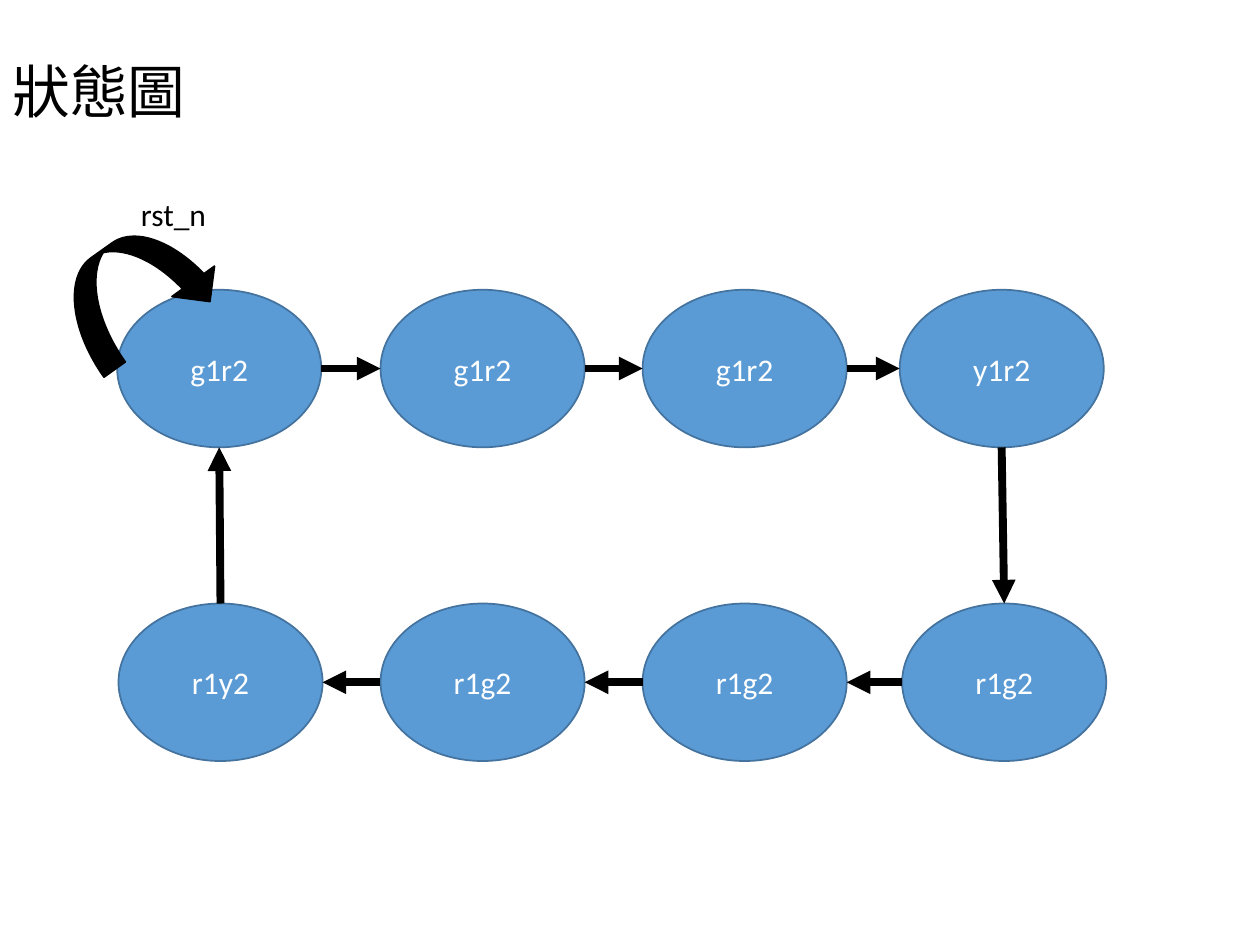
from lxml import etree
from pptx import Presentation
from pptx.dml.color import RGBColor
from pptx.enum.shapes import MSO_CONNECTOR, MSO_SHAPE
from pptx.enum.text import MSO_ANCHOR, PP_ALIGN
from pptx.oxml.ns import qn
from pptx.util import Inches, Pt

BLACK = RGBColor(0x00, 0x00, 0x00)
WHITE = RGBColor(0xFF, 0xFF, 0xFF)
BLUE = RGBColor(0x5B, 0x9B, 0xD5)
EDGE = RGBColor(0x43, 0x73, 0x9E)
WIDTH, HEIGHT = 1.62, 1.25
TOP, BOTTOM = 2.3, 4.79


def write(shape, text, size, color, align=PP_ALIGN.LEFT, anchor=MSO_ANCHOR.TOP):
    frame = shape.text_frame
    frame.word_wrap = True
    frame.vertical_anchor = anchor
    para = frame.paragraphs[0]
    para.alignment = align
    run = para.add_run()
    run.text = text
    for name, value in {"name": "Calibri", "size": Pt(size)}.items():
        setattr(run.font, name, value)
    run.font.color.rgb = color
    return para


def paint(shape, fill, line):
    shape.shadow.inherit = False
    shape.fill.solid()
    shape.fill.fore_color.rgb = fill
    shape.line.color.rgb = line
    shape.line.width = Pt(1)


deck = Presentation()
deck.slide_width, deck.slide_height = Inches(10), Inches(7.5)
slide = deck.slides.add_slide(deck.slide_layouts[6])
shapes = slide.shapes

title = shapes.add_textbox(Inches(0), Inches(0.03), Inches(8.62), Inches(1.45))
write(title, "狀態圖", 33, BLACK, anchor=MSO_ANCHOR.MIDDLE).line_spacing = 0.9

# States in the order they are visited, clockwise from the top left
states = [
    ("g1r2", 0.93, TOP), ("g1r2", 3.02, TOP), ("g1r2", 5.1, TOP), ("y1r2", 7.14, TOP),
    ("r1g2", 7.16, BOTTOM), ("r1g2", 5.1, BOTTOM), ("r1g2", 3.02, BOTTOM), ("r1y2", 0.94, BOTTOM),
]
for text, left, top in states:
    state = shapes.add_shape(
        MSO_SHAPE.OVAL, Inches(left), Inches(top), Inches(WIDTH), Inches(HEIGHT))
    paint(state, BLUE, EDGE)
    write(state, text, 18, WHITE, PP_ALIGN.CENTER, MSO_ANCHOR.MIDDLE)

# Each arrow joins the facing edges of one state and the next
for (_, x1, y1), (_, x2, y2) in zip(states, states[1:] + states[:1]):
    if y1 == y2:
        y1 = y2 = y1 + HEIGHT / 2
        if x1 < x2:
            x1 += WIDTH
        else:
            x2 += WIDTH
    else:
        x1, x2 = x1 + WIDTH / 2, x2 + WIDTH / 2
        if y1 < y2:
            y1 += HEIGHT
        else:
            y2 += HEIGHT
    arrow = shapes.add_connector(
        MSO_CONNECTOR.STRAIGHT, Inches(x1), Inches(y1), Inches(x2), Inches(y2))
    arrow.line.color.rgb = BLACK
    arrow.line.width = Pt(4.5)
    etree.SubElement(arrow.line._get_or_add_ln(), qn("a:tailEnd"), type="triangle")
    etree.SubElement(arrow._element.spPr, qn("a:effectLst"))

label = shapes.add_textbox(Inches(1.02), Inches(1.5), Inches(1.13), Inches(0.4))
write(label, "rst_n", 18, BLACK)

reset = shapes.add_shape(
    MSO_SHAPE.CURVED_DOWN_ARROW, Inches(0.47), Inches(1.88), Inches(1.24), Inches(0.83))
paint(reset, BLACK, BLACK)
reset.rotation = 324.5

deck.save("out.pptx")
